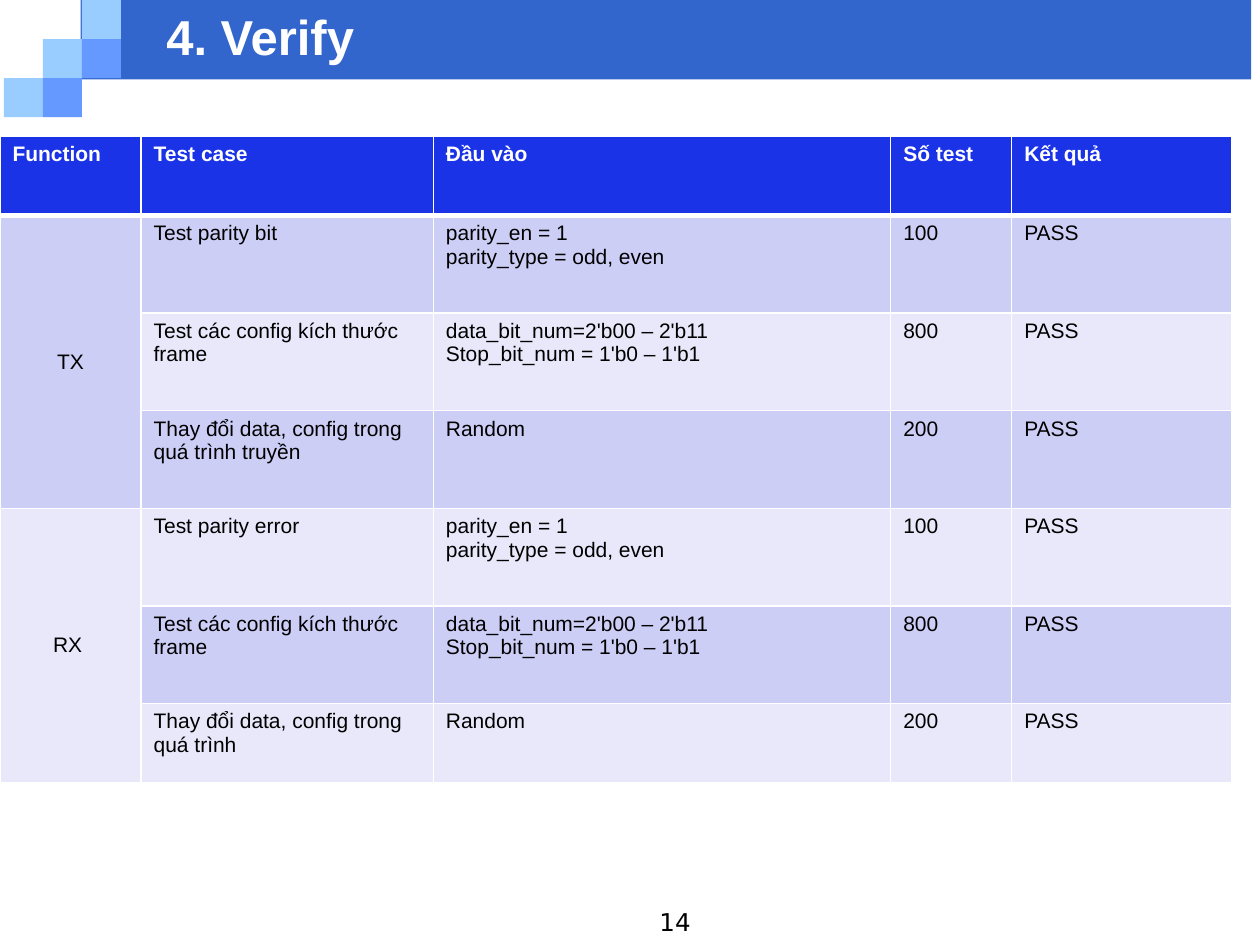
from lxml import etree
from pptx import Presentation
from pptx.dml.color import RGBColor
from pptx.enum.shapes import MSO_SHAPE
from pptx.enum.text import MSO_ANCHOR, MSO_AUTO_SIZE, PP_ALIGN
from pptx.oxml.ns import qn
from pptx.util import Inches, Pt

RECT = MSO_SHAPE.RECTANGLE
LEFT, CENTER, RIGHT = PP_ALIGN.LEFT, PP_ALIGN.CENTER, PP_ALIGN.RIGHT
TOP, MIDDLE = MSO_ANCHOR.TOP, MSO_ANCHOR.MIDDLE

WHITE = RGBColor(0xFF, 0xFF, 0xFF)
BLACK = RGBColor(0x00, 0x00, 0x00)
BAR_BLUE = RGBColor(0x33, 0x66, 0xCC)
LIGHT_BLUE = RGBColor(0x99, 0xCC, 0xFF)
MID_BLUE = RGBColor(0x66, 0x99, 0xFF)
HEADER_BLUE = RGBColor(0x1B, 0x33, 0xE7)
BANDS = [RGBColor(0xCD, 0xCE, 0xF6), RGBColor(0xE8, 0xE8, 0xFA)]

TITLE = "4. Verify"
PAGE_NUMBER = "14"
HEADER = ["Function", "Test case", "Đầu vào", "Số test", "Kết quả"]
PARITY_INPUT = "parity_en = 1\nparity_type = odd, even"
FRAME_CASE = "Test các config kích thước frame"
FRAME_INPUT = ["data_bit_num=2'b00 – 2'b11", "Stop_bit_num = 1'b0 – 1'b1"]
# A list holds paragraphs; a newline inside a paragraph is a line break.
FUNCTIONS = {
    "TX": [
        ("Test parity bit", PARITY_INPUT, "100", "PASS"),
        (FRAME_CASE, FRAME_INPUT, "800", "PASS"),
        ("Thay đổi data, config trong quá trình truyền", "Random", "200", "PASS"),
    ],
    "RX ": [
        ("Test parity error", PARITY_INPUT, "100", "PASS"),
        (FRAME_CASE, FRAME_INPUT, "800", "PASS"),
        ("Thay đổi data, config trong quá trình ", "Random ", "200", "PASS"),
    ],
}
COL_WIDTHS = [1.12, 2.32, 3.63, 0.96, 1.75]
ROW_HEIGHTS = [0.63] + [0.775] * 5 + [0.63]

SQUARE = 0.31
SQUARES = [  # column, row, colour
    (0, 2, LIGHT_BLUE), (1, 1, LIGHT_BLUE), (2, 0, LIGHT_BLUE),
    (2, 1, MID_BLUE), (1, 2, MID_BLUE),
]


def add_run(p, text, size, color, font="Arial", bold=False):
    r = p.add_run()
    r.text = text
    r.font.name, r.font.size, r.font.bold = font, Pt(size), bold
    r.font.color.rgb = color


def add_block(shapes, x, y, w, h, color):
    sp = shapes.add_shape(RECT, Inches(x), Inches(y), Inches(w), Inches(h))
    sp.shadow.inherit = False
    sp.fill.solid()
    sp.fill.fore_color.rgb = color
    sp.line.fill.background()


def set_borders(cell, bottom):
    """White lines on all four sides, with their own width at the bottom."""
    tc_pr = cell._tc.get_or_add_tcPr()
    for side, width in (("L", 1), ("R", 1), ("T", 1), ("B", bottom)):
        ln = etree.SubElement(tc_pr, qn(f"a:ln{side}"), w=str(Pt(width)))
        fill = etree.SubElement(ln, qn("a:solidFill"))
        etree.SubElement(fill, qn("a:srgbClr"), val=str(WHITE))


def fill_cell(cell, content, fill, header=False, align=LEFT, anchor=TOP):
    set_borders(cell, 3 if header else 1)
    cell.fill.solid()
    cell.fill.fore_color.rgb = fill
    cell.vertical_anchor = anchor
    tf = cell.text_frame
    paragraphs = content if isinstance(content, list) else [content]
    for i, text in enumerate(paragraphs):
        p = tf.add_paragraph() if i else tf.paragraphs[0]
        p.alignment = align
        for j, line in enumerate(text.split("\n")):
            if j:
                p.add_line_break()
            add_run(p, line, 12, WHITE if header else BLACK, bold=header)


def add_banner(s):
    add_block(s.shapes, 0.64, 0, 9.29, 0.63, BAR_BLUE)
    group = s.shapes.add_group_shape()
    for col, row, color in SQUARES:
        add_block(group.shapes, 0.03 + col * SQUARE, row * SQUARE, SQUARE, SQUARE, color)

    title = s.shapes.title
    title.left, title.top = Inches(1.22), Inches(0.07)
    title.width, title.height = Inches(8.08), Inches(0.43)
    s.shapes._spTree.append(title._element)  # in front of the bar
    tf = title.text_frame
    tf.auto_size = MSO_AUTO_SIZE.NONE
    tf.vertical_anchor = MIDDLE
    p = tf.paragraphs[0]
    p.alignment = LEFT
    add_run(p, TITLE, 28, WHITE, bold=True)


def add_page_number(s):
    box = s.shapes.add_textbox(Inches(3.25), Inches(7.15), Inches(2.33), Inches(0.35))
    box.text_frame.word_wrap = True
    p = box.text_frame.paragraphs[0]
    p.alignment = RIGHT
    add_run(p, PAGE_NUMBER, 14, BLACK, font="DejaVu Sans")


def add_test_table(s):
    table = s.shapes.add_table(
        len(ROW_HEIGHTS), len(COL_WIDTHS), Inches(0), Inches(1.08),
        Inches(sum(COL_WIDTHS)), Inches(sum(ROW_HEIGHTS))).table
    for column, width in zip(table.columns, COL_WIDTHS):
        column.width = Inches(width)
    for row, height in zip(table.rows, ROW_HEIGHTS):
        row.height = Inches(height)

    for c, text in enumerate(HEADER):
        fill_cell(table.cell(0, c), text, HEADER_BLUE, header=True)
    r = 1
    for function, cases in FUNCTIONS.items():
        first = table.cell(r, 0)
        first.merge(table.cell(r + len(cases) - 1, 0))
        fill_cell(first, function, BANDS[(r - 1) % 2], align=CENTER, anchor=MIDDLE)
        for case in cases:
            for c, content in enumerate(case, 1):
                fill_cell(table.cell(r, c), content, BANDS[(r - 1) % 2])
            r += 1


def main():
    prs = Presentation()
    prs.slide_width, prs.slide_height = Inches(10), Inches(7.5)
    s = prs.slides.add_slide(prs.slide_layouts.get_by_name("Title Only"))
    add_banner(s)
    add_page_number(s)
    add_test_table(s)
    prs.save("out.pptx")


if __name__ == "__main__":
    main()
